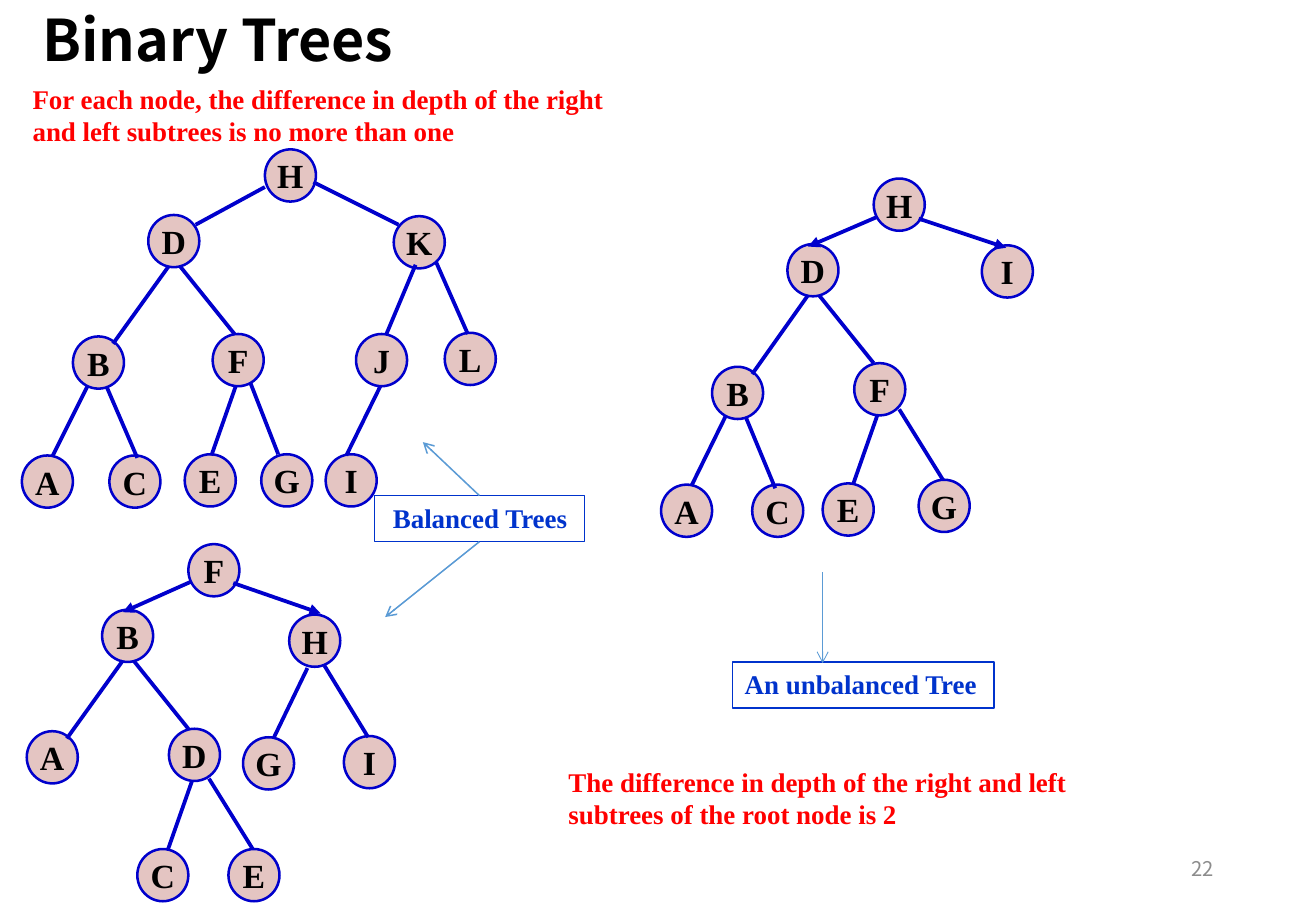
"""Build a slide that contrasts balanced and unbalanced binary trees."""
import pptx
import pptx.util
import pptx.dml.color
import pptx.enum.shapes
import pptx.enum.text
import pptx.oxml
import pptx.oxml.ns

Inches, Pt = pptx.util.Inches, pptx.util.Pt
RGB = pptx.dml.color.RGBColor.from_string
Shape = pptx.enum.shapes.MSO_SHAPE
Align = pptx.enum.text.PP_ALIGN
Anchor = pptx.enum.text.MSO_ANCHOR
SANS, SERIF = "Noto Sans CJK SC", "Times New Roman"
COLORS = {
    "node": "E4C5C2", "edge": "0000CC", "box": "0033CC", "arrow": "5B9BD5",
    "note": "FF0000", "text": "000000", "page": "8C8C8C",
}
NODE_W, NODE_H = 0.42, 0.43

TREES = [
    {
        "nodes": {
            "H": (2.18, 1.23), "D": (1.22, 1.77), "K": (3.24, 1.78),
            "B": (0.6, 2.77), "F": (1.75, 2.75), "J": (2.93, 2.75),
            "L": (3.66, 2.74), "A": (0.18, 3.75), "C": (0.9, 3.75),
            "E": (1.52, 3.74), "G": (2.15, 3.74), "I": (2.68, 3.74),
        },
        "edges": [
            (2.18, 1.54, 1.61, 1.85), (2.58, 1.5, 3.28, 1.85),
            (1.39, 2.19, 0.93, 2.83), (1.48, 2.19, 1.93, 2.75),
            (3.42, 2.18, 3.18, 2.75), (3.59, 2.16, 3.85, 2.75),
            (0.72, 3.18, 0.43, 3.76), (0.88, 3.19, 1.13, 3.77),
            (1.94, 3.18, 1.74, 3.75), (2.06, 3.15, 2.29, 3.74),
            (3.13, 3.18, 2.85, 3.75),
        ],
        "arrows": [],
    },
    {
        "nodes": {
            "F": (1.55, 4.48), "B": (0.84, 5.02), "H": (2.38, 5.06),
            "A": (0.22, 6.02), "D": (1.39, 6), "G": (2, 6.07),
            "I": (2.83, 6.06), "C": (1.13, 6.99), "E": (1.88, 6.99),
        },
        "edges": [
            (1.01, 5.44, 0.55, 6.08), (1.1, 5.44, 1.55, 6),
            (2.53, 5.5, 2.25, 6.08), (2.67, 5.48, 3.03, 6.07),
            (1.58, 6.43, 1.38, 7), (1.72, 6.41, 2.08, 6.99),
        ],
        "arrows": [(1.57, 4.79, 1.01, 5.04), (1.92, 4.8, 2.64, 5.05)],
    },
    {
        "nodes": {
            "H": (7.19, 1.47), "D": (6.48, 2.01), "I": (8.08, 2.02),
            "B": (5.86, 3.02), "F": (7.03, 2.99), "A": (5.44, 3.99),
            "C": (6.19, 3.99), "E": (6.77, 3.98), "G": (7.56, 3.95),
        },
        "edges": [
            (6.65, 2.43, 6.19, 3.08), (6.74, 2.43, 7.19, 2.99),
            (5.97, 3.43, 5.69, 4), (6.14, 3.44, 6.38, 4.02),
            (7.22, 3.42, 7.02, 3.99), (7.4, 3.37, 7.76, 3.95),
        ],
        "arrows": [(7.21, 1.79, 6.65, 2.03), (7.56, 1.8, 8.28, 2.04)],
    },
]


def write(shape, text, size, color, font=SERIF, bold=True, align=Align.LEFT,
          anchor=Anchor.TOP, wrap=True):
    """Put one styled paragraph in a shape."""
    frame = shape.text_frame
    frame.text = text
    frame.word_wrap = wrap
    frame.vertical_anchor = anchor
    para = frame.paragraphs[0]
    para.alignment = align
    face = para.runs[0].font
    face.name, face.size, face.bold = font, Pt(size), bold
    face.color.rgb = RGB(COLORS[color])


def link(ends, color, width, head=None):
    """Draw a straight line with an optional arrowhead at its end."""
    line = slide.shapes.add_connector(
        pptx.enum.shapes.MSO_CONNECTOR.STRAIGHT, *map(Inches, ends))
    line.line.color.rgb = RGB(COLORS[color])
    line.line.width = Pt(width)
    if head:
        tail = pptx.oxml.parse_xml(
            f'<a:tailEnd {pptx.oxml.ns.nsdecls("a")} type="{head}"/>')
        line.line._get_or_add_ln().append(tail)
    line._element.spPr.append(pptx.oxml.parse_xml(
        f'<a:effectLst {pptx.oxml.ns.nsdecls("a")}/>'))
    return line


deck = pptx.Presentation()
deck.slide_width, deck.slide_height = Inches(10.83), Inches(7.5)
slide = deck.slides.add_slide(deck.slide_layouts[5])

title = slide.shapes.title
title.left, title.top = Inches(0.25), Inches(0.08)
title.width, title.height = Inches(7.92), Inches(0.58)
write(title, "Binary Trees", 34, "text", SANS, anchor=Anchor.MIDDLE)
title.text_frame.paragraphs[0].line_spacing = 0.8

page = slide.shapes.add_textbox(
    Inches(7.65), Inches(6.95), Inches(2.44), Inches(0.4))
write(page, "22", 12, "page", SANS, False, Align.RIGHT, Anchor.MIDDLE)

for tree in TREES:
    for name, (left, top) in tree["nodes"].items():
        node = slide.shapes.add_shape(
            Shape.OVAL, Inches(left), Inches(top), Inches(NODE_W), Inches(NODE_H))
        node.shadow.inherit = False
        node.fill.solid()
        node.fill.fore_color.rgb = RGB(COLORS["node"])
        node.line.color.rgb = RGB(COLORS["edge"])
        node.line.width = Pt(1.5)
        write(node, name, 20, "text", align=Align.CENTER,
              anchor=Anchor.MIDDLE, wrap=False)
    for ends in tree["edges"]:
        link(ends, "edge", 2.25)
    for ends in tree["arrows"]:
        link(ends, "edge", 2.25, "triangle")

boxes = []
for text, left, top, width in [
    (" Balanced Trees", 3.08, 4.08, 1.73),
    ("An unbalanced Tree", 6.03, 5.45, 2.15),
]:
    box = slide.shapes.add_shape(
        Shape.RECTANGLE, Inches(left), Inches(top), Inches(width), Inches(0.38))
    box.shadow.inherit = False
    box.fill.background()
    box.line.color.rgb = RGB(COLORS["box"])
    box.line.width = Pt(0.75)
    write(box, text, 16, "box", wrap=False)
    boxes.append(box)

for ends, side in [((3.95, 4.08, 3.48, 3.64), 0), ((3.95, 4.46, 3.17, 5.08), 2)]:
    link(ends, "arrow", 0.9, "arrow").begin_connect(boxes[0], side)
link((6.77, 4.71, 6.77, 5.46), "arrow", 0.5, "arrow")

for text, left, top in [
    ("For each node, the difference in depth of the right and left subtrees "
     "is no more than one", 0.17, 0.63),
    ("The difference in depth of the right and left subtrees of the root node "
     "is 2", 4.58, 6.25),
]:
    note = slide.shapes.add_textbox(
        Inches(left), Inches(top), Inches(5), Inches(0.64))
    write(note, text, 16, "note")

deck.save("out.pptx")
